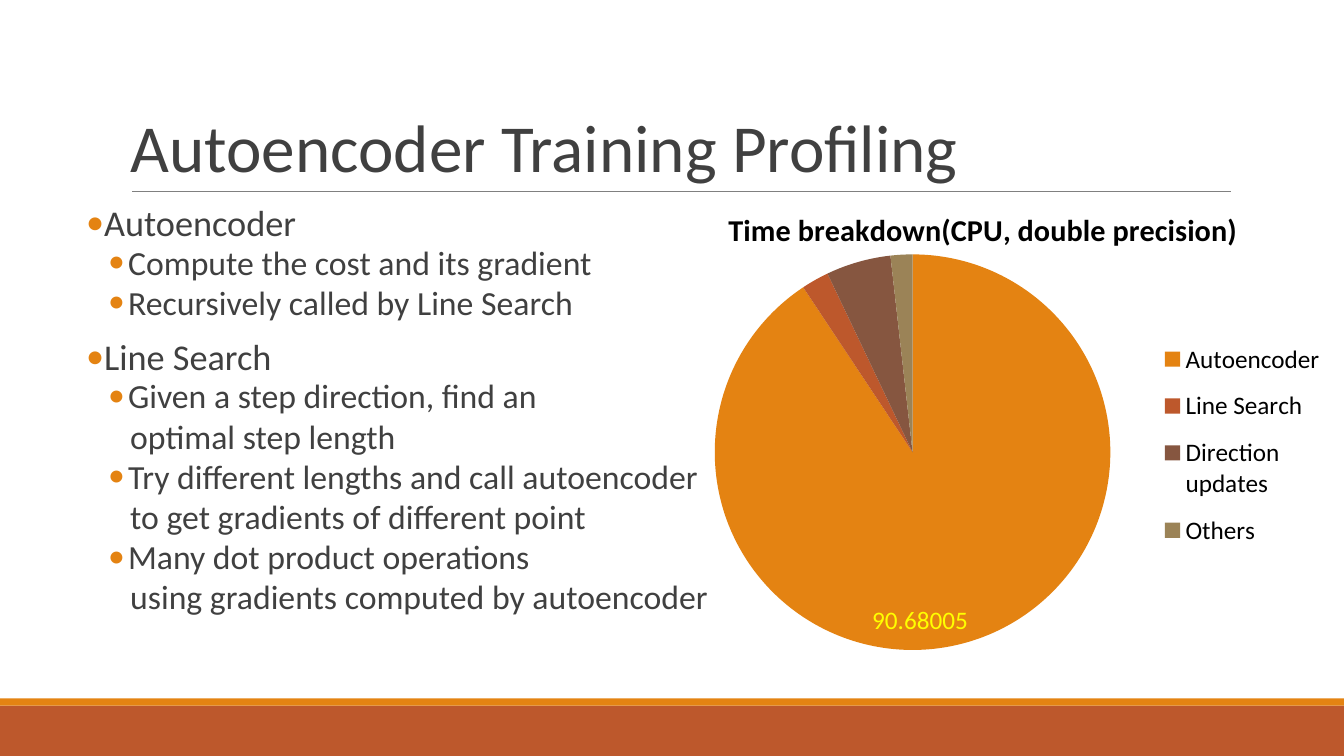
from lxml import etree
from pptx import Presentation
from pptx.chart.data import CategoryChartData
from pptx.dml.color import RGBColor
from pptx.enum.chart import XL_CHART_TYPE, XL_LABEL_POSITION, XL_LEGEND_POSITION
from pptx.enum.shapes import MSO_CONNECTOR, MSO_SHAPE
from pptx.enum.text import MSO_ANCHOR
from pptx.oxml import parse_xml
from pptx.oxml.ns import nsdecls, qn
from pptx.util import Pt

PX = 9525  # EMU per px, 96 px to the inch
WIDTH, HEIGHT = 1280, 720
FONT = "Calibri"
COLORS = {
    "orange": "E48312", "rust": "BD582C", "brown": "865640", "khaki": "9B8357",
    "text": "404040", "rule": "808080", "black": "000000", "label": "FFFF00",
}
TIMES = [
    ("Autoencoder", 90.68005, "orange"),
    ("Line Search", 2.24445, "rust"),
    ("Direction updates", 5.2892, "brown"),
    ("Others", 1.7863, "khaki"),
]
NOTES = [
    ("topic", "Autoencoder"),
    ("point", "Compute the cost and its gradient"),
    ("point", "Recursively called by Line Search"),
    ("topic", "Line Search"),
    ("point", "Given a step direction, find an"),
    ("more", "optimal step length"),
    ("point", "Try different lengths and call autoencoder"),
    ("more", "to get gradients of different point"),
    ("point", "Many dot product operations"),
    ("more", "using gradients computed by autoencoder"),
]
# size, space before, space after (points), left margin, indent (px)
STYLES = {
    "topic": (25.9, 11.5, 2, 10, -10),
    "point": (24.1, 2, 3.5, 40, -19),
    "more": (24.1, 2, 3.5, 42, 0),
}


def emu(*lengths):
    return [length * PX for length in lengths]


def color(name):
    return RGBColor.from_string(COLORS[name])


def set_font(font, size, name):
    font.name = FONT
    font.size = Pt(size)
    font.color.rgb = color(name)


def add_text_frame(page, box):
    frame = page.shapes.add_textbox(*emu(*box)).text_frame
    frame.word_wrap = True
    return frame


def add_footer(page, left, top, width, height):
    stripe = 7
    for y, depth, name in ((top + stripe, height - stripe, "rust"), (top, stripe, "orange")):
        band = page.shapes.add_shape(MSO_SHAPE.RECTANGLE, *emu(left, y, width, depth))
        band.shadow.inherit = False
        band.fill.solid()
        band.fill.fore_color.rgb = color(name)
        band.line.fill.background()


def add_title(page, left, top, width, height):
    # Rule under the title
    bottom = top + height
    rule = page.shapes.add_connector(
        MSO_CONNECTOR.STRAIGHT, *emu(left + 11, bottom, left + 1057, bottom))
    rule.line.color.rgb = color("rule")
    rule.line.width = Pt(0.5)
    etree.SubElement(rule.element.spPr, qn("a:effectLst"))

    # Title text
    frame = add_text_frame(page, (left, top, width, height))
    frame.vertical_anchor = MSO_ANCHOR.BOTTOM
    para = frame.paragraphs[0]
    para.line_spacing = 0.85
    set_font(para.font, 48, "text")
    span = para.add_run()
    span.text = "Autoencoder Training Profiling"
    span.font.size = Pt(48)
    span.font.element.set("spc", "-50") if hasattr(span.font, "element") else None


def add_bullet(properties):
    bullet_color = etree.SubElement(properties, qn("a:buClr"))
    etree.SubElement(bullet_color, qn("a:srgbClr"), val=COLORS["orange"])
    etree.SubElement(properties, qn("a:buFont"), typeface=FONT)
    etree.SubElement(properties, qn("a:buChar"), char="•")


def add_notes(page, left, top, width, height):
    frame = add_text_frame(page, (left, top, width, height))
    frame.margin_left = frame.margin_right = 0
    for index, (kind, text) in enumerate(NOTES):
        para = frame.add_paragraph() if index else frame.paragraphs[0]
        size, before, after, margin, indent = STYLES[kind]
        para.text = text
        para.level = 0 if kind == "topic" else 1
        para.line_spacing = 0.8
        para.space_before, para.space_after = Pt(before), Pt(after)
        properties = para._p.get_or_add_pPr()
        properties.set("marL", str(margin * PX))
        properties.set("indent", str(indent * PX))
        if kind != "more":
            add_bullet(properties)
        set_font(para.font, size, "text")


def place_part(chart, name, index, **fractions):
    part = chart.element.xpath(f"c:chart/c:{name}")[0]
    for old in part.findall(qn("c:layout")):
        part.remove(old)
    target = '<c:layoutTarget val="inner"/>' if name == "plotArea" else ""
    modes = "".join(f'<c:{axis}Mode val="edge"/>' for axis in "xy")
    values = "".join(f'<c:{key} val="{value}"/>' for key, value in fractions.items())
    part.insert(index, parse_xml(
        f'<c:layout {nsdecls("c")}><c:manualLayout>{target}{modes}{values}'
        "</c:manualLayout></c:layout>"))


def add_breakdown(page, left, top, width, height):
    data = CategoryChartData()
    data.categories = [name for name, _, _ in TIMES]
    data.add_series("Series 1", [value for _, value, _ in TIMES])
    chart = page.shapes.add_chart(
        XL_CHART_TYPE.PIE, *emu(left, top, width, height), data).chart
    set_font(chart.font, 18, "black")

    # Title and legend
    chart.has_title = True
    chart.chart_title.include_in_layout = False
    frame = chart.chart_title.text_frame
    frame.text = "Time breakdown(CPU, double precision)"
    heading = frame.paragraphs[0].font
    set_font(heading, 21.6, "black")
    heading.bold = True
    chart.has_legend = True
    chart.legend.position = XL_LEGEND_POSITION.RIGHT
    chart.legend.include_in_layout = False
    set_font(chart.legend.font, 18, "black")

    # Slices, with a value on the largest only
    plot = chart.plots[0]
    plot.vary_by_categories = True
    series = plot.series[0]
    for index, (_, _, name) in enumerate(TIMES):
        fill = series.points[index].format.fill
        fill.solid()
        fill.fore_color.rgb = color(name)
    series.data_labels.show_value = False
    label = series.points[0].data_label
    set_font(label.font, 18, "label")
    label.position = XL_LABEL_POSITION.INSIDE_END

    place_part(chart, "title", 1, x=0.16, y=0.07)
    place_part(chart, "plotArea", 0, x=0.15, y=0.17, w=0.48, h=0.8)
    place_part(chart, "legend", 1, x=0.69, y=0.32, w=0.2, h=0.47)


def main():
    deck = Presentation()
    deck.slide_width, deck.slide_height = emu(WIDTH, HEIGHT)
    page = deck.slides.add_slide(deck.slide_layouts[6])
    add_footer(page, 0, 665, WIDTH, 55)
    add_breakdown(page, 563, 160, 785, 475)
    add_title(page, 115, 30, 1135, 152)
    add_notes(page, 82, 194, 1056, 422)
    deck.save("out.pptx")


if __name__ == "__main__":
    main()
